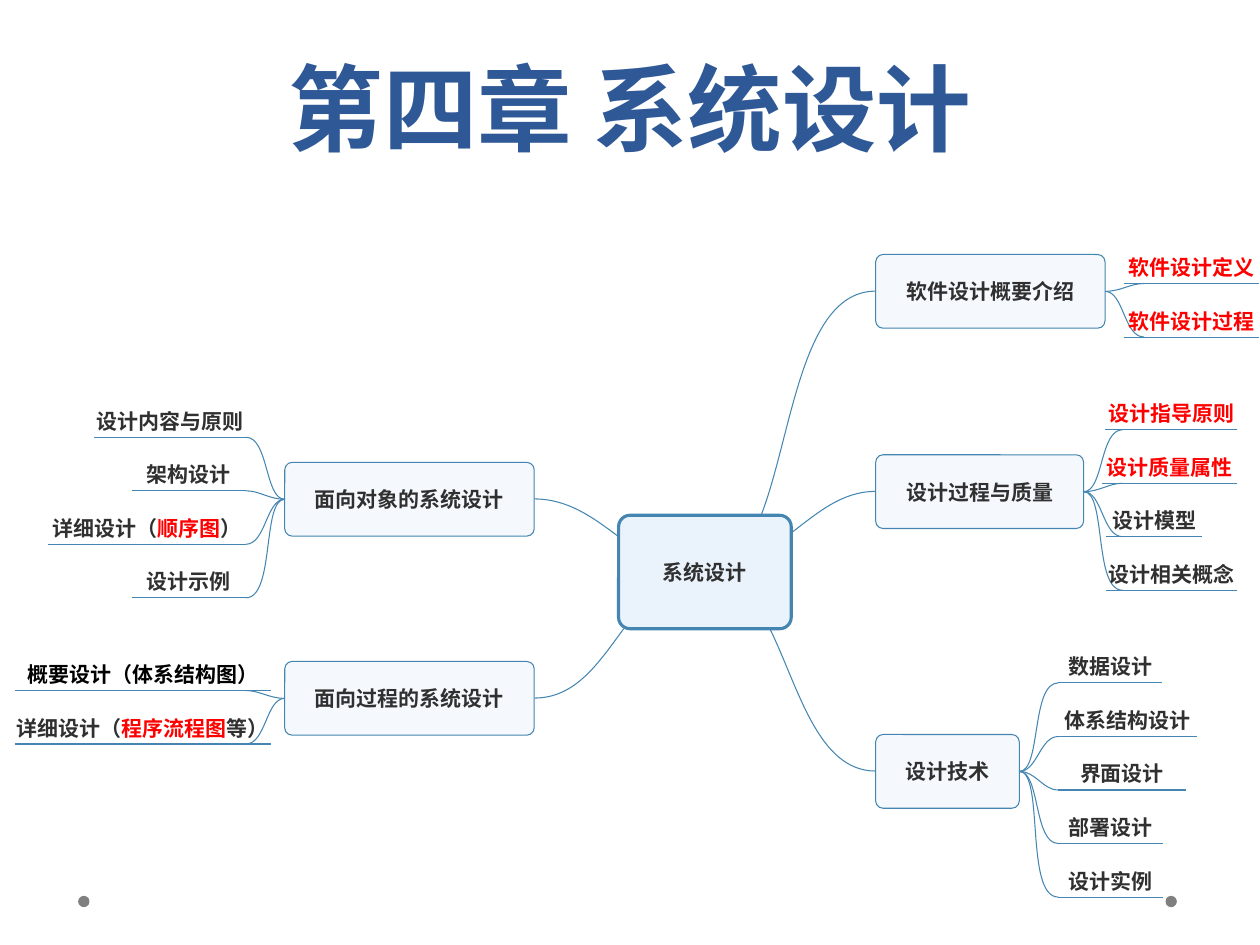
from copy import deepcopy

from lxml.etree import SubElement
from pptx import Presentation
from pptx.dml.color import RGBColor
from pptx.enum.shapes import MSO_SHAPE
from pptx.enum.text import MSO_ANCHOR, MSO_AUTO_SIZE, PP_ALIGN
from pptx.oxml.ns import qn
from pptx.util import Inches, Pt

BLUE = RGBColor(0x2F, 0x58, 0x97)
LINE = RGBColor(0x44, 0x86, 0xB1)
ROOT_FILL = RGBColor(0xEA, 0xF3, 0xFC)
BRANCH_FILL = RGBColor(0xF5, 0xF9, 0xFE)
GREY = RGBColor(0x7F, 0x7F, 0x7F)
DARK = RGBColor(0x30, 0x30, 0x30)
BLACK = RGBColor(0, 0, 0)
RED = RGBColor(0xFF, 0, 0)
FONT = "Noto Sans CJK SC"

TITLE = "第四章 系统设计"
ROOT = ("系统设计", 4.91, 4.09, 1.37, 0.9)
ROOT_CENTER = (5.6, 4.54)

# side: 1 grows to the right, -1 to the left
# link: curve from the root; baseline: underline of the first leaf
# leaves: left, width, (text, colour) spans
BRANCHES = [
    {"name": "软件设计概要介绍", "at": (6.95, 2.02, 1.82), "side": 1, "baseline": 2.25,
     "link": [(6.04, 4.09), (6.29, 3.44), (6.36, 2.31), (6.95, 2.31)],
     "leaves": [(8.92, 1.07, [("软件设计定义", RED)]),
                (8.92, 1.07, [("软件设计过程", RED)])]},
    {"name": "设计过程与质量", "at": (6.95, 3.61, 1.65), "side": 1, "baseline": 3.41,
     "link": [(6.28, 4.23), (6.49, 4.07), (6.68, 3.9), (6.95, 3.9)],
     "leaves": [(8.77, 1.05, [("设计指导原则", RED)]),
                (8.75, 1.07, [("设计质量属性", RED)]),
                (8.78, 0.76, [("设计模型", DARK)]),
                (8.78, 1.04, [("设计相关概念", DARK)])]},
    {"name": "设计技术", "at": (6.95, 5.83, 1.14), "side": 1, "baseline": 5.42,
     "link": [(6.11, 4.99), (6.34, 5.46), (6.49, 6.12), (6.95, 6.12)],
     "leaves": [(8.4, 0.82, [("数据设计", DARK)]),
                (8.4, 1.1, [("体系结构设计", DARK)]),
                (8.4, 1.01, [("界面设计", DARK)]),
                (8.4, 0.83, [("部署设计", DARK)]),
                (8.4, 0.83, [("设计实例", DARK)])]},
    {"name": "面向过程的系统设计", "at": (2.26, 5.25, 1.98), "side": -1, "baseline": 5.48,
     "link": [(4.95, 4.99), (4.75, 5.26), (4.57, 5.54), (4.24, 5.54)],
     "leaves": [(0.12, 2.03, [("概要设计（体系结构图）", BLACK)]),
                (0.12, 2.03, [("详细设计（", DARK), ("程序流程图", RED), ("等）", DARK)])]},
    {"name": "面向对象的系统设计", "at": (2.26, 3.67, 1.98), "side": -1, "baseline": 3.47,
     "link": [(4.91, 4.26), (4.71, 4.11), (4.51, 3.96), (4.24, 3.96)],
     "leaves": [(0.75, 1.2, [("设计内容与原则", DARK)]),
                (1.05, 0.9, [("架构设计", DARK)]),
                (0.38, 1.57, [("详细设计（", DARK), ("顺序图", RED), ("）", DARK)]),
                (1.05, 0.9, [("设计示例", DARK)])]},
]
DOTS = [(0.62, 7.11), (9.25, 7.11)]
DOT_SIZE = 0.09
BRANCH_HEIGHT = 0.585
LEAF_HEIGHT = 0.3
LEAF_STEP = 0.425
LEAF_REACH = 0.31
LEAF_TEXT_DROP = 0.04


def style_outline(shape, fill=None, width=0.6):
    shape.shadow.inherit = False
    if fill is None:
        shape.fill.background()
    else:
        shape.fill.solid()
        shape.fill.fore_color.rgb = fill
    shape.line.color.rgb = LINE
    shape.line.width = Pt(width)


def set_font(para, latin, size):
    para.font.name = latin
    para.font.size = Pt(size)
    para.font.bold = True
    for properties in para._p.iter(qn("a:defRPr")):
        SubElement(properties, qn("a:ea"), typeface=FONT)


def write_label(shape, spans, drop=0):
    frame = shape.text_frame
    frame.word_wrap = True
    frame.vertical_anchor = MSO_ANCHOR.MIDDLE
    frame.margin_left = frame.margin_right = frame.margin_bottom = 0
    frame.margin_top = Inches(drop)
    para = frame.paragraphs[0]
    para.alignment = PP_ALIGN.CENTER
    set_font(para, FONT, 12)
    for text, color in spans:
        span = para.add_run()
        span.text = text
        span.font.color.rgb = color


def add_polygon(slide, points, close):
    start, *others = [(Inches(x), Inches(y)) for x, y in points]
    builder = slide.shapes.build_freeform(*start)
    builder.add_line_segments(others, close=close)
    return builder.convert_to_shape()


def add_curve(slide, points, origin):
    """Draw a cubic curve whose frame begins midway between origin and its end."""
    curve = add_polygon(slide, points, close=False)
    outline = next(curve.element.iter(qn("a:path")))
    bezier = SubElement(outline, qn("a:cubicBezTo"))
    for segment in outline.findall(qn("a:lnTo")):
        bezier.append(segment[0])
        outline.remove(segment)
    left, top = [Inches((a + b) / 2) for a, b in zip(origin, points[-1])]
    for point in outline.iter(qn("a:pt")):
        point.set("x", str(int(point.get("x")) + curve.left - left))
        point.set("y", str(int(point.get("y")) + curve.top - top))
    curve.left, curve.top = left, top
    style_outline(curve)


def add_node(slide, name, left, top, width, height, fill, line_width):
    node = slide.shapes.add_shape(MSO_SHAPE.ROUNDED_RECTANGLE, Inches(left), Inches(top),
                                  Inches(width), Inches(height))
    node.adjustments[0] = 0.1
    style_outline(node, fill, line_width)
    write_label(node, [(name, DARK)])


def add_leaf(slide, left, baseline, width, spans):
    """Add a text area of which only the bottom edge is stroked."""
    right, top = left + width, baseline - LEAF_HEIGHT
    leaf = add_polygon(slide, [(left, baseline), (right, baseline), (right, top), (left, top)],
                       close=True)
    area = next(leaf.element.iter(qn("a:path")))
    underline = deepcopy(area)
    for step in underline[2:]:
        underline.remove(step)
    area.set("stroke", "0")
    area.addnext(underline)
    style_outline(leaf)
    write_label(leaf, spans, LEAF_TEXT_DROP)


def leaf_curve(branch, baseline):
    left, top, width = branch["at"]
    side = branch["side"]
    x = left + width if side > 0 else left
    y = top + BRANCH_HEIGHT / 2
    rise = abs(baseline - y)
    return [(x, y), (x + side * (0.12 + 0.08 * rise), y),
            (x + side * (0.21 - 0.17 * rise), baseline), (x + side * LEAF_REACH, baseline)]


def add_title(slide):
    title = slide.shapes.title
    title.left, title.top, title.width, title.height = map(Inches, (0.5, 0, 9, 1.35))
    frame = title.text_frame
    frame.text = TITLE
    frame.auto_size = MSO_AUTO_SIZE.NONE
    frame.vertical_anchor = MSO_ANCHOR.BOTTOM
    para = frame.paragraphs[0]
    para.alignment = PP_ALIGN.CENTER
    para.line_spacing = Pt(58)
    set_font(para, "Karla", 54)
    para.font.color.rgb = BLUE


def main():
    deck = Presentation()
    deck.slide_width, deck.slide_height = Inches(10), Inches(7.5)
    slide = deck.slides.add_slide(deck.slide_layouts[5])
    for left, top in DOTS:
        dot = slide.shapes.add_shape(MSO_SHAPE.OVAL, Inches(left), Inches(top),
                                     Inches(DOT_SIZE), Inches(DOT_SIZE))
        dot.shadow.inherit = False
        dot.fill.solid()
        dot.fill.fore_color.rgb = GREY
        dot.line.fill.background()
    add_title(slide)

    for branch in BRANCHES:
        add_curve(slide, branch["link"], ROOT_CENTER)
        for row in range(len(branch["leaves"])):
            points = leaf_curve(branch, branch["baseline"] + row * LEAF_STEP)
            add_curve(slide, points, points[0])
    add_node(slide, *ROOT, ROOT_FILL, 1.79)
    for branch in BRANCHES:
        add_node(slide, branch["name"], *branch["at"], BRANCH_HEIGHT, BRANCH_FILL, 0.6)
        for row, (left, width, spans) in enumerate(branch["leaves"]):
            add_leaf(slide, left, branch["baseline"] + row * LEAF_STEP, width, spans)
    deck.save("out.pptx")


if __name__ == "__main__":
    main()
